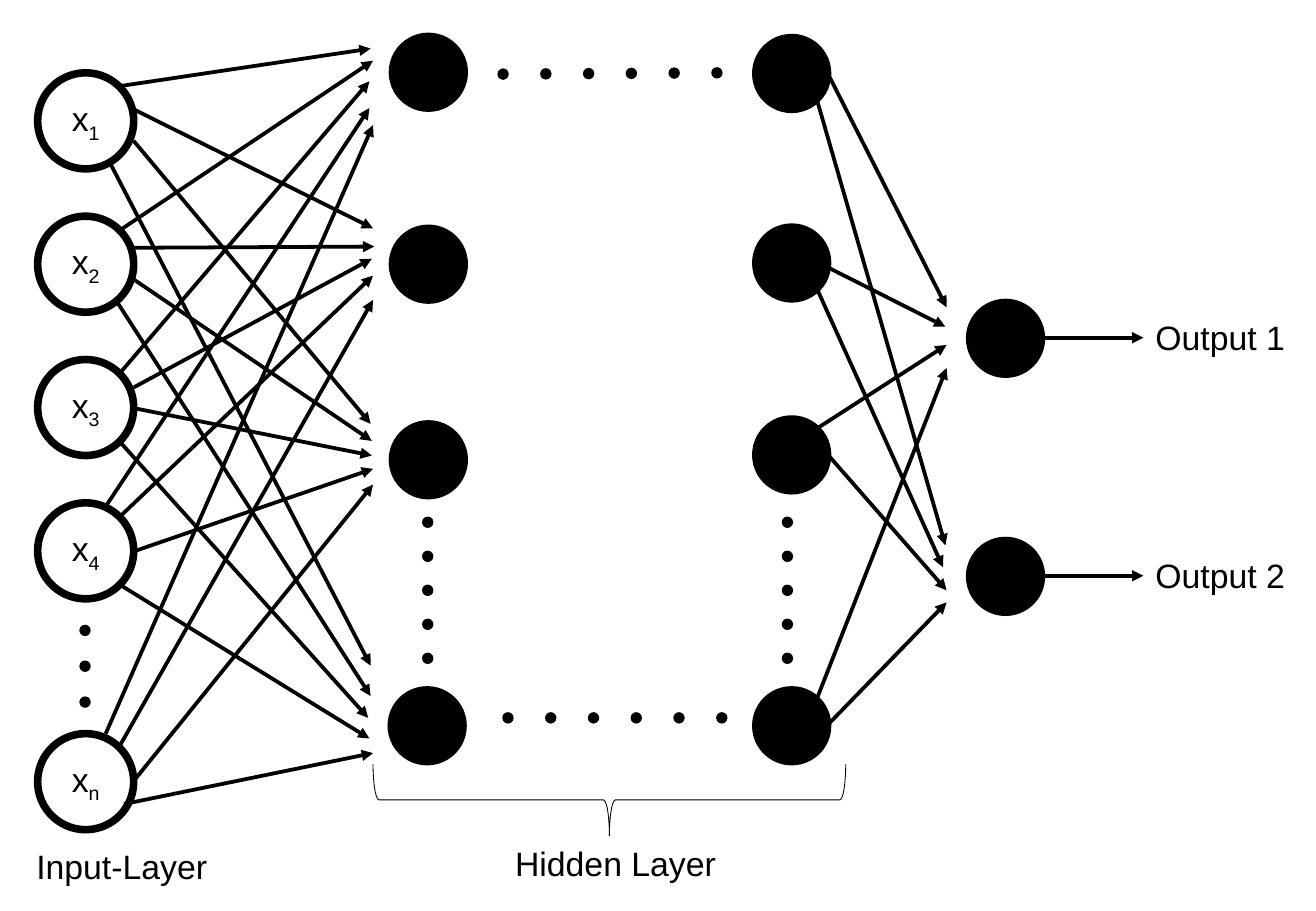
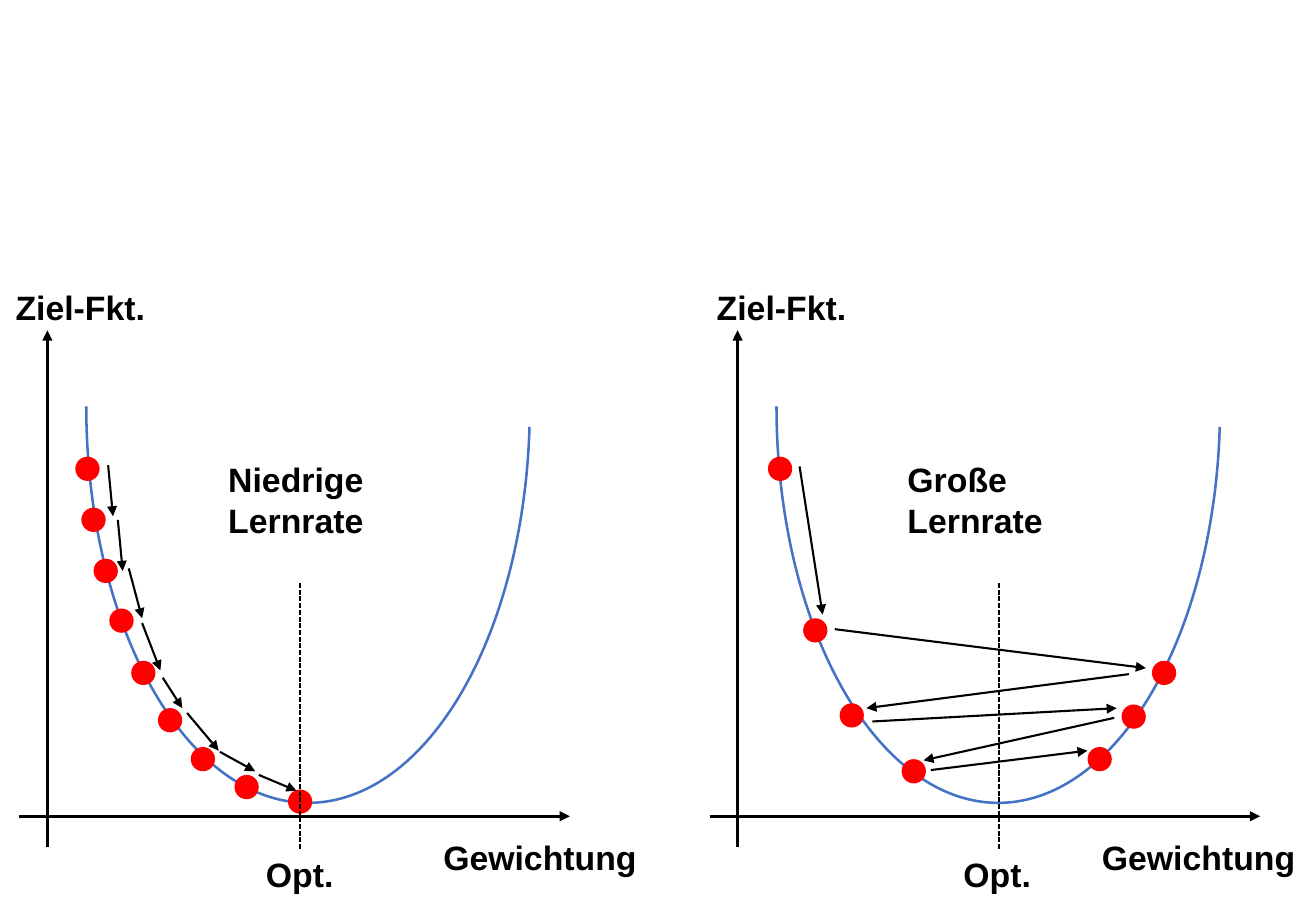
from pptx import Presentation
from pptx.dml.color import RGBColor
from pptx.enum import dml, shapes, text
from pptx.oxml.ns import qn
from pptx.util import Inches, Pt
from lxml import etree

HUES = {"ink": "000000", "paper": "FFFFFF", "curve": "4472C4", "ball": "FF0000"}
FONT, SIZE = "Arial", 20
KIND = shapes.MSO_SHAPE

INPUTS = [("1", 0.6), ("2", 1.78), ("3", 2.96), ("4", 4.14), ("n", 6.04)]
NODES = [
    (3.23, 0.3), (3.23, 1.88), (3.23, 3.49), (3.22, 5.68),
    (6.22, 0.31), (6.22, 1.87), (6.22, 3.45), (6.22, 5.68),
    (7.98, 2.49), (7.98, 4.45),
]
DOTS = [
    (0.66, 5.15, 0.66, 5.74, 3),
    (4.1, 0.57, 5.86, 0.56, 6),
    (4.14, 5.87, 5.9, 5.87, 6),
    (3.48, 4.26, 3.48, 5.38, 5),
    (6.44, 4.26, 6.44, 5.38, 5),
]
EDGES = [
    (0.98, 0.71, 3.05, 0.4), (1.1, 0.9, 3.07, 1.88),
    (1.1, 1.16, 3.05, 3.49), (0.91, 1.35, 3.05, 5.48),
    (0.98, 1.9, 3.07, 0.5), (1.1, 2.04, 3.08, 2.03),
    (1.1, 2.3, 3.06, 3.63), (0.96, 2.48, 3.05, 5.73),
    (0.98, 3.08, 3.04, 0.67), (1.1, 3.19, 3.06, 2.13),
    (1.1, 3.36, 3.06, 3.75), (0.98, 3.63, 3.03, 5.91),
    (0.87, 4.17, 3.04, 0.89), (0.98, 4.26, 3.07, 2.27),
    (1.1, 4.54, 3.07, 3.86), (0.98, 4.81, 3.04, 6.08),
    (0.87, 6.04, 3.07, 1.03), (0.98, 6.15, 3.07, 2.47),
    (1.1, 6.43, 3.07, 3.99), (1.02, 6.62, 3.07, 6.2),
    (6.81, 0.6, 7.79, 2.53), (6.72, 0.81, 7.78, 4.49),
    (6.75, 2.17, 7.78, 2.69), (6.72, 2.37, 7.76, 4.67),
    (6.72, 3.53, 7.79, 2.84), (6.81, 3.74, 7.79, 4.86),
    (6.72, 5.76, 7.79, 3.03), (6.81, 5.97, 7.79, 4.96),
    (8.57, 2.78, 9.41, 2.78), (8.57, 4.74, 9.41, 4.74),
]
NAMES = [
    ("Output 1", 9.41, 2.56, 1.35, 0.44),
    ("Output 2", 9.41, 4.52, 1.35, 0.44),
    ("Input-Layer", 0.2, 6.91, 1.79, 0.44),
    ("Hidden Layer", 4.14, 6.89, 1.87, 0.44),
]
PANELS = [
    {
        "left": 0.71,
        "best": 2.47,
        "balls": [(0.62, 3.76), (0.67, 4.18), (0.77, 4.6), (0.9, 5.01), (1.08, 5.44),
                  (1.3, 5.83), (1.57, 6.15), (1.93, 6.38), (2.37, 6.5)],
        "steps": [(0.89, 3.83, 0.93, 4.25), (0.97, 4.28, 1.01, 4.7),
                  (1.06, 4.68, 1.17, 5.09), (1.17, 5.13, 1.32, 5.52),
                  (1.34, 5.58, 1.5, 5.83), (1.54, 5.87, 1.8, 6.18),
                  (1.81, 6.19, 2.1, 6.35), (2.13, 6.38, 2.44, 6.51)],
        "names": [("Ziel-Fkt.", 0.03, 2.31, 1.31, 0.44),
                  ("Gewichtung", 3.55, 6.84, 1.86, 0.44),
                  ("Opt.", 2.09, 6.98, 0.81, 0.44),
                  ("Niedrige Lernrate", 1.78, 3.73, 1.7, 0.77)],
    },
    {
        "left": 6.39,
        "best": 8.22,
        "balls": [(6.32, 3.76), (6.61, 5.09), (9.48, 5.44), (6.91, 5.79),
                  (9.23, 5.8), (8.95, 6.15), (7.42, 6.25)],
        "steps": [(6.58, 3.84, 6.77, 5.06), (6.87, 5.18, 9.43, 5.5),
                  (9.29, 5.55, 7.13, 5.83), (7.18, 5.94, 9.19, 5.83),
                  (9.17, 5.91, 7.6, 6.26), (7.66, 6.34, 8.95, 6.18)],
        "names": [("Ziel-Fkt.", 5.8, 2.31, 1.31, 0.44),
                  ("Gewichtung", 8.97, 6.84, 1.86, 0.44),
                  ("Opt.", 7.83, 6.98, 0.81, 0.44),
                  ("Große Lernrate", 7.37, 3.73, 1.7, 0.77)],
    },
]


def hue(key):
    return RGBColor.from_string(HUES[key])


def style(run, bold=False):
    run.font.name, run.font.size, run.font.bold = FONT, Pt(SIZE), bold
    run.font.color.rgb = hue("ink")


def form(slide, kind, box, fill=None, line=None, width=1):
    item = slide.shapes.add_shape(kind, *map(Inches, box))
    item.shadow.inherit = False
    if fill:
        item.fill.solid()
        item.fill.fore_color.rgb = hue(fill)
    else:
        item.fill.background()
    if line:
        item.line.color.rgb = hue(line)
        item.line.width = Pt(width)
    else:
        item.line.fill.background()
    return item


def link(slide, ends, width, head=True, dash=False):
    item = slide.shapes.add_connector(shapes.MSO_CONNECTOR.STRAIGHT, *map(Inches, ends))
    item.line.color.rgb = hue("ink")
    item.line.width = Pt(width)
    if dash:
        item.line.dash_style = dml.MSO_LINE.SQUARE_DOT
    if head:
        etree.SubElement(item.line._get_or_add_ln(), qn("a:tailEnd"), type="triangle")
    etree.SubElement(item._element.spPr, qn("a:effectLst"))


def label(slide, words, *box, bold=False):
    item = slide.shapes.add_textbox(*map(Inches, box))
    frame = item.text_frame
    frame.word_wrap = True
    frame.auto_size = text.MSO_AUTO_SIZE.SHAPE_TO_FIT_TEXT
    frame.text = words
    style(frame.paragraphs[0].runs[0], bold)


def entry(slide, index, top):
    item = form(slide, KIND.FLOWCHART_CONNECTOR, (0.31, top, 0.79, 0.79), "paper", "ink", 4.5)
    frame = item.text_frame
    frame.vertical_anchor = text.MSO_ANCHOR.MIDDLE
    para = frame.paragraphs[0]
    para.alignment = text.PP_ALIGN.CENTER
    for part in ("x", index):
        run = para.add_run()
        run.text = part
        style(run)
    run.font._element.set("baseline", "-25000")


def network(slide):
    for index, top in INPUTS:
        entry(slide, index, top)
    for left, top in NODES:
        form(slide, KIND.FLOWCHART_CONNECTOR, (left, top, 0.59, 0.59), "ink", "ink", 4.5)
    for x, y, right, low, count in DOTS:
        for i in range(count):
            part = i / (count - 1)
            spot = (x + (right - x) * part, y + (low - y) * part, 0.08, 0.08)
            form(slide, KIND.FLOWCHART_CONNECTOR, spot, "ink", "ink")
    for edge in EDGES:
        link(slide, edge, 2.25)
    brace = form(slide, KIND.RIGHT_BRACE, (4.72, 4.64, 0.59, 3.89), None, "ink", 0.5)
    brace.rotation = 90
    for name in NAMES:
        label(slide, *name)


def descent(slide, panel):
    left = panel["left"]
    arc = form(slide, KIND.ARC, (left, 0.08, 3.65, 6.53), None, "curve", 1.5)
    arc.rotation = 180
    arc.adjustments[0], arc.adjustments[1] = 111.174, 0
    link(slide, (left - 0.32, 6.97, left - 0.32, 2.72), 2)
    link(slide, (left - 0.55, 6.72, left + 3.98, 6.72), 2)
    for x, y in panel["balls"]:
        form(slide, KIND.OVAL, (x, y, 0.2, 0.2), "ball")
    link(slide, (panel["best"], 4.8, panel["best"], 7), 1, head=False, dash=True)
    for step in panel["steps"]:
        link(slide, step, 1.25)
    for name in panel["names"]:
        label(slide, *name, bold=True)


def main():
    deck = Presentation()
    deck.slide_width, deck.slide_height = Inches(10.83), Inches(7.5)
    blank = deck.slide_layouts[6]
    network(deck.slides.add_slide(blank))
    rates = deck.slides.add_slide(blank)
    for panel in PANELS:
        descent(rates, panel)
    deck.save("out.pptx")


if __name__ == "__main__":
    main()
